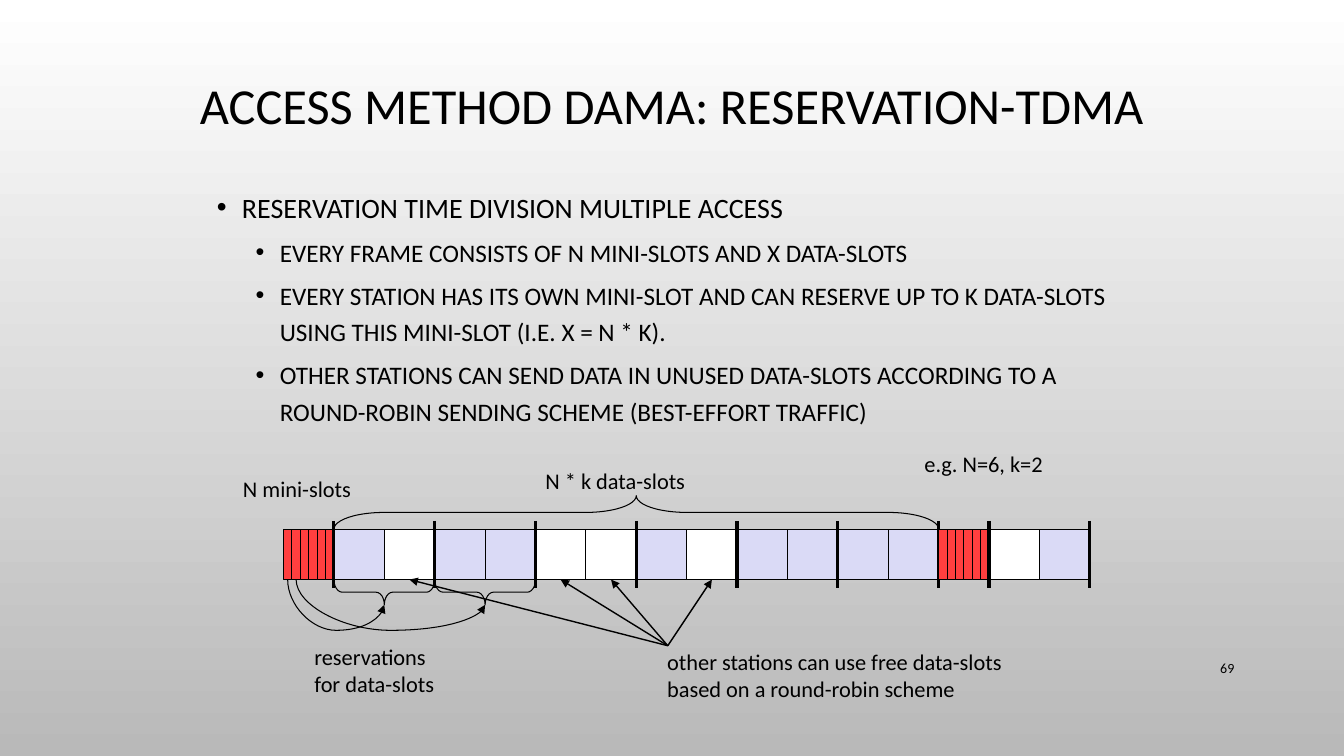
from lxml.etree import SubElement
from pptx import Presentation
from pptx.dml.color import RGBColor
from pptx.enum.shapes import MSO_CONNECTOR as Connector, MSO_SHAPE as Shape
from pptx.enum.text import MSO_ANCHOR as Anchor, MSO_AUTO_SIZE as AutoSize, PP_ALIGN as Align
from pptx.oxml.ns import qn
from pptx.util import Pt

PX = 9525
FONT = "Calibri"
BLACK = RGBColor(0x00, 0x00, 0x00)
WHITE = RGBColor(0xFF, 0xFF, 0xFF)
GREY = RGBColor(0xB9, 0xB9, 0xB9)
LAVENDER = RGBColor(0xDA, 0xDA, 0xF6)
RED = RGBColor(0xFF, 0x3F, 0x3F)

SLOT = 48
MINI_SLOT = 8
MINI_COUNT = 6
SLOTS_PER_STATION = 2
BAR_TOP = 504
BAR_BOTTOM = BAR_TOP + SLOT
DIVIDER_OVERHANG = 8
FRAME_LEFT = 270
# R is a reserved data-slot, F a free one
FIRST_FRAME = "RFRRFFRFRRRR"
SECOND_FRAME = "FR"

BULLETS = [
    (0, "RESERVATION TIME DIVISION MULTIPLE ACCESS"),
    (1, "EVERY FRAME CONSISTS OF N MINI-SLOTS AND X DATA-SLOTS"),
    (1, "EVERY STATION HAS ITS OWN MINI-SLOT AND CAN RESERVE UP TO K DATA-SLOTS "
        "USING THIS MINI-SLOT (I.E. X = N * K)."),
    (1, "OTHER STATIONS CAN SEND DATA IN UNUSED DATA-SLOTS ACCORDING TO A "
        "ROUND-ROBIN SENDING SCHEME (BEST-EFFORT TRAFFIC)"),
]
# Text size, left margin and hanging indent of each level
LEVELS = [(20, 24, 24), (18, 60, 23)]

LABELS = [
    ("N mini-slots", 222, 448, 123, 35),
    ("N * k data-slots", 510, 440, 154, 35),
    ("reservations\vfor data-slots", 290, 608, 134, 61),
    ("other stations can use free data-slots\nbased on a round-robin scheme", 626, 613, 342, 61),
    ("e.g. N=6, k=2", 871, 424, 133, 35),
]


def format_font(paragraph, size):
    for run in paragraph.runs:
        run.font.name = FONT
        run.font.size = Pt(size)
        run.font.color.rgb = BLACK


def add_text(slide, text, left, top, width, height, size=16, align=Align.LEFT,
             anchor=Anchor.TOP, wrap=True):
    shape = slide.shapes.add_textbox(left * PX, top * PX, width * PX, height * PX)
    frame = shape.text_frame
    frame.word_wrap = wrap
    frame.vertical_anchor = anchor
    frame.text = text
    for paragraph in frame.paragraphs:
        paragraph.alignment = align
        format_font(paragraph, size)
    return frame


def add_bullet(paragraph, margin, hanging):
    properties = paragraph._p.get_or_add_pPr()
    properties.set("marL", str(margin * PX))
    properties.set("indent", str(-hanging * PX))
    color = SubElement(properties, qn("a:buClr"))
    SubElement(color, qn("a:srgbClr"), val=str(BLACK))
    SubElement(properties, qn("a:buFont"), typeface="Arial")
    SubElement(properties, qn("a:buChar"), char="•")
    tabs = SubElement(properties, qn("a:tabLst"))
    SubElement(tabs, qn("a:tab"), pos=str(120 * PX), algn="l")


def add_bullet_list(slide):
    frame = add_text(slide, "\n".join(text for _, text in BULLETS), 197, 170, 892, 243)
    for index, (paragraph, (level, _)) in enumerate(zip(frame.paragraphs, BULLETS)):
        size, margin, hanging = LEVELS[level]
        paragraph.level = level
        paragraph.line_spacing = 1.2
        if index:
            paragraph.space_before = Pt(5)
        add_bullet(paragraph, margin, hanging)
        format_font(paragraph, size)


def add_slot(slide, left, width, color):
    shape = slide.shapes.add_shape(Shape.RECTANGLE, left * PX, BAR_TOP * PX,
                                   width * PX, SLOT * PX)
    shape.shadow.inherit = False
    shape.fill.solid()
    shape.fill.fore_color.rgb = color
    shape.line.color.rgb = BLACK
    shape.line.width = Pt(0.75)
    return shape


def add_line(slide, start, end, width, kind=Connector.STRAIGHT, arrow=None):
    """Draw a connector; arrow is the end that carries a head: headEnd or tailEnd."""
    points = [value * PX for value in (*start, *end)]
    connector = slide.shapes.add_connector(kind, *points)
    connector.line.color.rgb = BLACK
    connector.line.width = Pt(width)
    if arrow:
        SubElement(connector.line._get_or_add_ln(), qn(f"a:{arrow}"), type="triangle")
    SubElement(connector._element.spPr, qn("a:effectLst"))
    return connector


def add_frame(slide, left, pattern):
    """Draw the mini-slots, data-slots and station dividers; return the data-slots."""
    for index in range(MINI_COUNT):
        add_slot(slide, left + index * MINI_SLOT, MINI_SLOT, RED)
    data_left = left + MINI_COUNT * MINI_SLOT
    slots = [add_slot(slide, data_left + index * SLOT, SLOT, WHITE if state == "F" else LAVENDER)
             for index, state in enumerate(pattern)]
    for index in range(0, len(pattern) + 1, SLOTS_PER_STATION):
        x = data_left + index * SLOT
        add_line(slide, (x, BAR_TOP - DIVIDER_OVERHANG), (x, BAR_BOTTOM + DIVIDER_OVERHANG), 2.25)
    return slots


def add_brace(slide, left, top, width, height, rotation, curvature):
    """Draw a lying brace that fills the given box after its rotation."""
    shape = slide.shapes.add_shape(
        Shape.RIGHT_BRACE, (left + (width - height) // 2) * PX,
        (top + (height - width) // 2) * PX, height * PX, width * PX)
    shape.rotation = rotation
    shape.adjustments[0] = curvature
    shape.shadow.inherit = False
    shape.fill.background()
    shape.line.color.rgb = BLACK
    shape.line.width = Pt(0.75)


def add_reservation_curve(slide, start, end):
    """Swing an arrow below the bar from a mini-slot to the tip of a brace."""
    (x1, y1), (x2, y2) = start, end
    center_x, center_y = (x1 + x2) // 2, (y1 + y2) // 2
    half_width, half_height = (y2 - y1) // 2, (x2 - x1) // 2
    connector = add_line(slide, (center_x + half_width, center_y - half_height),
                         (center_x - half_width, center_y + half_height), 0.75,
                         Connector.CURVE, "tailEnd")
    properties = connector._element.spPr
    properties.find(qn("a:xfrm")).set("rot", str(270 * 60000))
    adjustments = properties.find(qn("a:prstGeom")).find(qn("a:avLst"))
    SubElement(adjustments, qn("a:gd"), name="adj1", fmla="val 201400")


def add_diagram(slide):
    data_left = FRAME_LEFT + MINI_COUNT * MINI_SLOT
    data_width = len(FIRST_FRAME) * SLOT
    slots = add_frame(slide, FRAME_LEFT, FIRST_FRAME)
    add_frame(slide, data_left + data_width, SECOND_FRAME)

    for index, state in enumerate(FIRST_FRAME):
        if state == "F":
            middle = data_left + index * SLOT + SLOT // 2
            arrow = add_line(slide, (middle, BAR_BOTTOM), (636, 615), 1, arrow="headEnd")
            arrow.begin_connect(slots[index], 2)

    station_width = SLOTS_PER_STATION * SLOT
    brace_height = 24
    for station in range(2):
        left = data_left + station * station_width
        add_brace(slide, left, BAR_BOTTOM, station_width, brace_height, 90, 0.33)
        mini_middle = FRAME_LEFT + station * MINI_SLOT + MINI_SLOT // 2
        add_reservation_curve(slide, (mini_middle, BAR_BOTTOM),
                              (left + station_width // 2, BAR_BOTTOM + brace_height))
    add_brace(slide, data_left, BAR_TOP - 32, data_width, 32, 270, 1.5)


def fill_background(slide):
    fill = slide.background.fill
    fill.gradient()
    fill.gradient_angle = 270
    for stop, color in zip(fill.gradient_stops, (WHITE, GREY)):
        stop.color.rgb = color


def main():
    presentation = Presentation()
    presentation.slide_width = 1280 * PX
    presentation.slide_height = 720 * PX
    slide = presentation.slides.add_slide(presentation.slide_layouts[6])
    fill_background(slide)
    title = add_text(slide, "ACCESS METHOD DAMA: RESERVATION-TDMA", 160, 21, 960, 113,
                     36, Align.CENTER, Anchor.BOTTOM)
    title.paragraphs[0].line_spacing = 0.9
    add_bullet_list(slide)
    add_text(slide, "69", 1104, 617, 81, 38, 10, Align.RIGHT, Anchor.MIDDLE)
    for label in LABELS:
        frame = add_text(slide, *label, wrap=False)
        frame.auto_size = AutoSize.SHAPE_TO_FIT_TEXT
    add_diagram(slide)
    presentation.save("out.pptx")


if __name__ == "__main__":
    main()
